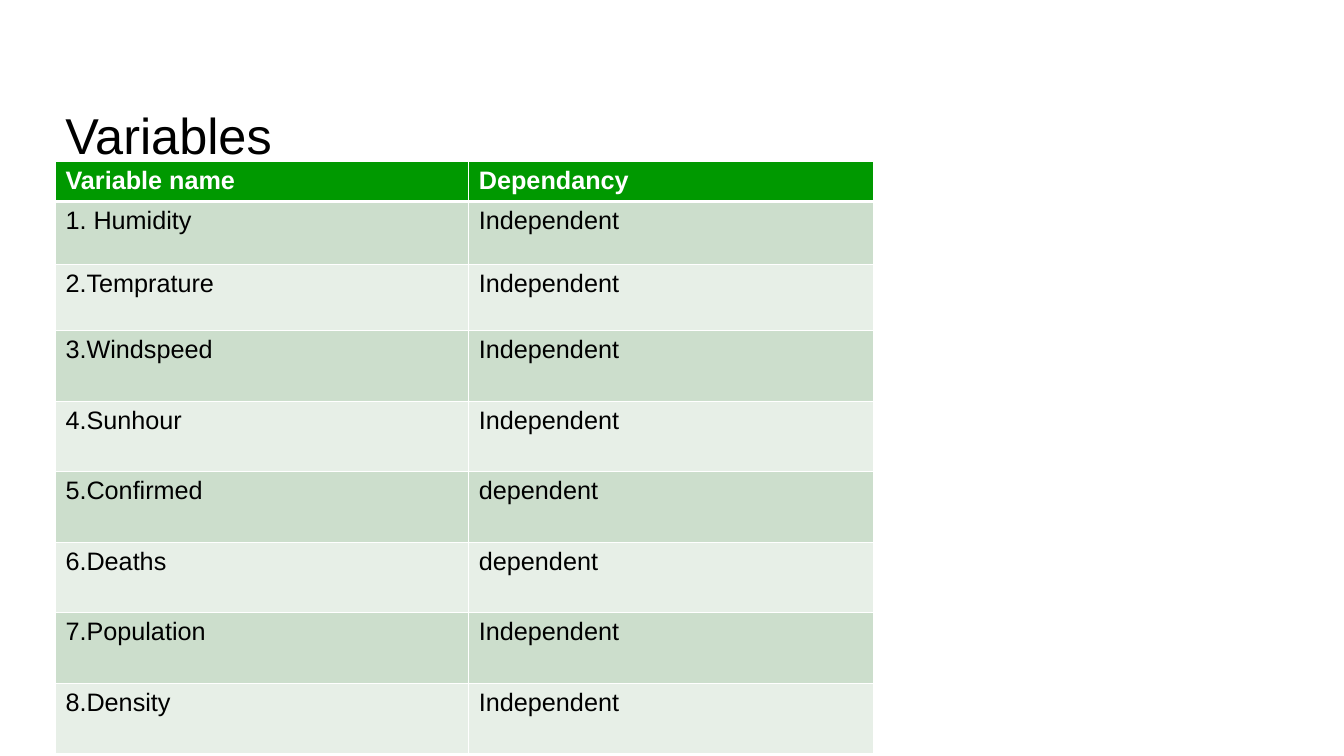
from dataclasses import dataclass

from lxml import etree
from pptx import Presentation
from pptx.dml.color import RGBColor
from pptx.enum.text import MSO_ANCHOR
from pptx.oxml.ns import qn
from pptx.util import Pt

MIDDLE = MSO_ANCHOR.MIDDLE
PX = 9144


@dataclass(frozen=True)
class Theme:
    font: str = "Arial"
    title_size: int = 36
    cell_size: int = 18
    text: str = "000000"
    white: str = "FFFFFF"
    header: str = "009900"
    bands: tuple = ("CCDECC", "E7EFE7")


THEME = Theme()

HEADINGS = ("Variable name", "Dependancy")
VARIABLES = (
    ("1. Humidity", "Independent"),
    ("2.Temprature", "Independent"),
    ("3.Windspeed", "Independent"),
    ("4.Sunhour", "Independent"),
    ("5.Confirmed", "dependent"),
    ("6.Deaths", "dependent"),
    ("7.Population", "Independent"),
    ("8.Density", "Independent"),
)
COLUMN_WIDTHS = (410, 401)
ROW_HEIGHTS = (40, 62, 66) + (70,) * 6


def px(*lengths):
    return [n * PX for n in lengths]


def set_text(tf, text, size, color, bold=False):
    tf.text = text
    r = tf.paragraphs[0].runs[0]
    r.font.name = THEME.font
    r.font.size = Pt(size)
    r.font.bold = bold
    r.font.color.rgb = RGBColor.from_string(color)


def add_title(s, text, box):
    tf = s.shapes.add_textbox(*px(*box)).text_frame
    tf.word_wrap = True
    tf.vertical_anchor = MIDDLE
    set_text(tf, text, THEME.title_size, THEME.text)


def set_borders(cell, bottom):
    props = cell._tc.get_or_add_tcPr()
    widths = {"a:lnL": 1, "a:lnR": 1, "a:lnT": 1, "a:lnB": bottom}
    for i, (tag, width) in enumerate(widths.items()):
        line = etree.Element(qn(tag), w=str(Pt(width)))
        fill = etree.SubElement(line, qn("a:solidFill"))
        etree.SubElement(fill, qn("a:srgbClr"), val=THEME.white)
        props.insert(i, line)


def style_cell(cell, text, row):
    header = row == 0
    fill = THEME.header if header else THEME.bands[(row - 1) % 2]
    color = THEME.white if header else THEME.text
    set_text(cell.text_frame, text, THEME.cell_size, color, header)
    cell.fill.solid()
    cell.fill.fore_color.rgb = RGBColor.from_string(fill)
    set_borders(cell, 3 if header else 1)


def add_variable_table(s, left, top):
    rows = (HEADINGS,) + VARIABLES
    box = px(left, top, sum(COLUMN_WIDTHS), sum(ROW_HEIGHTS))
    table = s.shapes.add_table(len(rows), len(HEADINGS), *box).table
    for column, width in zip(table.columns, px(*COLUMN_WIDTHS)):
        column.width = width
    for row, height in zip(table.rows, px(*ROW_HEIGHTS)):
        row.height = height
    for i, values in enumerate(rows):
        for j, text in enumerate(values):
            style_cell(table.cell(i, j), text, i)


def main():
    prs = Presentation()
    prs.slide_width, prs.slide_height = px(1333, 750)
    s = prs.slides.add_slide(prs.slide_layouts[6])
    add_title(s, "Variables", (55, 107, 1211, 53))
    add_variable_table(s, 55, 160)
    prs.save("out.pptx")


if __name__ == "__main__":
    main()
